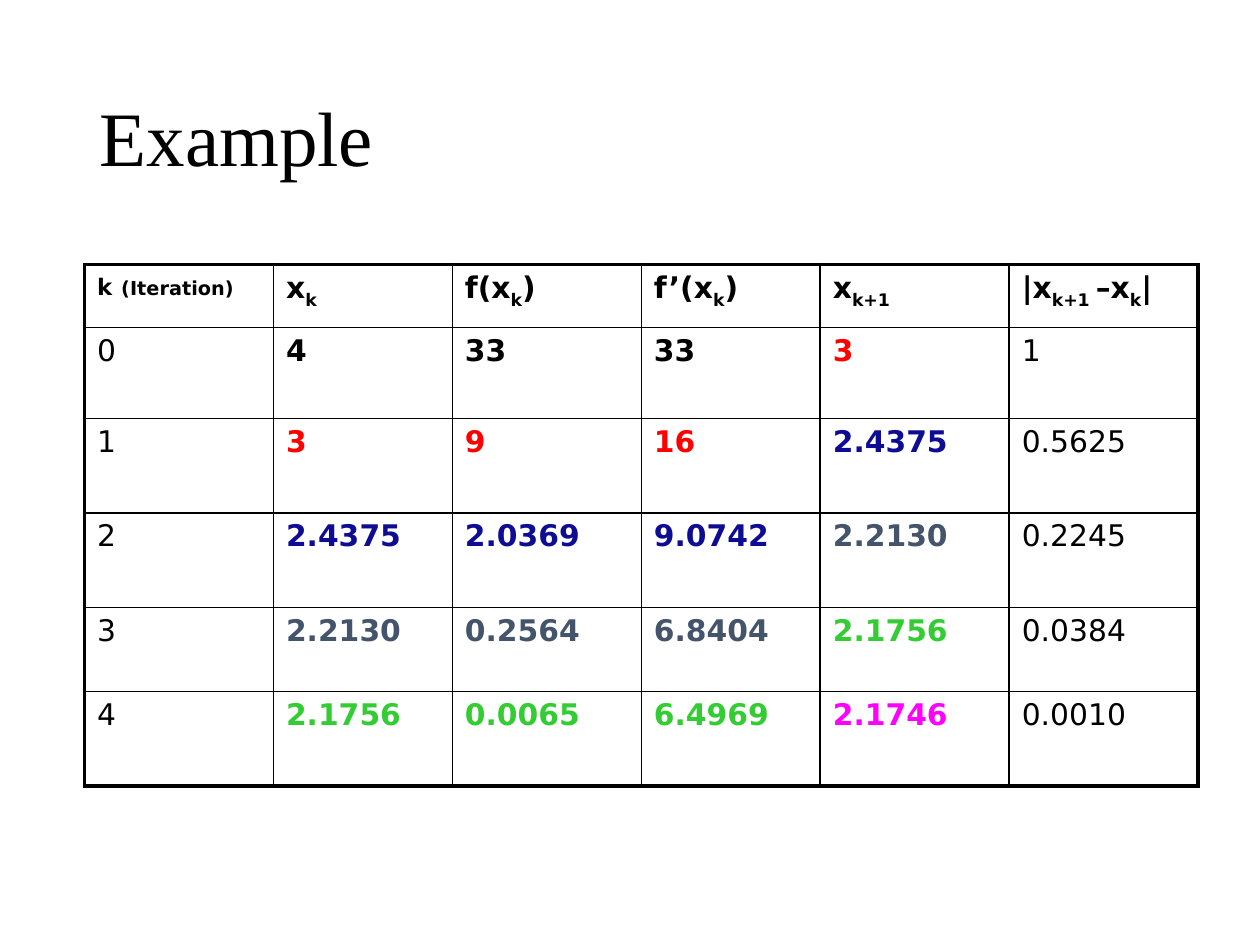
from lxml.etree import SubElement as Sub
from pptx import Presentation as Deck
from pptx.dml.color import RGBColor as Color
from pptx.enum.text import MSO_ANCHOR as Anchor, PP_ALIGN as Align
from pptx.oxml import parse_xml as to_xml
from pptx.oxml.ns import nsdecls, qn
from pptx.util import Inches as In, Pt

BLACK = Color(0, 0, 0)
RED = Color(0xFF, 0, 0)
NAVY = Color(0x0E, 0x0C, 0x93)
SLATE = Color(0x44, 0x54, 0x6A)
GREEN = Color(0x33, 0xCC, 0x33)
PINK = Color(0xFF, 0, 0xFF)
STEPS = [BLACK, RED, NAVY, SLATE, GREEN, PINK]

SERIF = "Times New Roman"
SANS = "DejaVu Sans"
SIZE = 17
THIN, THICK = 1, 2.25
COLS = [1.5, 1.42, 1.5, 1.42, 1.5, 1.5]
ROWS = [0.5, 0.72, 0.75, 0.75, 0.67, 0.75]

HEAD = [
    [("k", 13, 0), (" ", 15, 0), ("(Iteration)", 11, 0)],
    [("x", SIZE, 0), ("k", SIZE, 1)],
    [("f(x", SIZE, 0), ("k", SIZE, 1), (")", SIZE, 0)],
    [("f’(x", SIZE, 0), ("k", SIZE, 1), (")", SIZE, 0)],
    [("x", SIZE, 0), ("k+1", SIZE, 1)],
    [("|x", SIZE, 0), ("k+1 ", SIZE, 1), ("–x", SIZE, 0),
     ("k", SIZE, 1), ("|", SIZE, 0)],
]
DATA = [
    ["0", "4", "33", "33", "3", "1"],
    ["1", "3", "9", "16", "2.4375", "0.5625"],
    ["2", "2.4375", "2.0369", "9.0742", "2.2130", "0.2245"],
    ["3", "2.2130", "0.2564", "6.8404", "2.1756", "0.0384"],
    ["4", "2.1756", "0.0065", "6.4969", "2.1746", "0.0010"],
]


def add_run(para, text, size, font, color, bold=False, sub=False):
    run = para.add_run()
    run.text = text
    run.font.name = font
    run.font.size = Pt(size)
    run.font.bold = bold
    run.font.color.rgb = color
    if sub:
        run.font._element.set("baseline", "-25000")


def add_edges(cell, widths):
    props = cell._tc.get_or_add_tcPr()
    for spot, (side, width) in enumerate(zip("LRTB", widths)):
        line = to_xml(f'<a:ln{side} {nsdecls("a")} w="{Pt(width)}"/>')
        fill = Sub(line, qn("a:solidFill"))
        Sub(fill, qn("a:srgbClr")).set("val", str(BLACK))
        props.insert(spot, line)


def add_title(slide, text, left, top, width, height):
    title = slide.shapes.title
    title.left, title.top = In(left), In(top)
    title.width, title.height = In(width), In(height)
    title.text_frame.vertical_anchor = Anchor.MIDDLE
    para = title.text_frame.paragraphs[0]
    para.alignment = Align.LEFT
    para.line_spacing = 0.9
    add_run(para, text, 44, SERIF, BLACK)


def fill_cell(cell, row, col):
    para = cell.text_frame.paragraphs[0]
    if row == 0:
        for text, size, sub in HEAD[col]:
            add_run(para, text, size, SANS, BLACK, True, sub)
        return
    inner = 0 < col < len(COLS) - 1
    step = row if col == 4 else row - 1
    color = STEPS[step] if inner else BLACK
    add_run(para, DATA[row - 1][col], SIZE, SANS, color, inner)


def add_grid(slide, left, top):
    frame = slide.shapes.add_table(len(ROWS), len(COLS), In(left), In(top),
                                   In(sum(COLS)), In(sum(ROWS)))
    table = frame.table
    table.first_row = table.horz_banding = False
    for col, width in zip(table.columns, COLS):
        col.width = In(width)
    for row, height in zip(table.rows, ROWS):
        row.height = In(height)
    for r in range(len(ROWS)):
        for c in range(len(COLS)):
            cell = table.cell(r, c)
            cell.fill.background()
            outer = (c == 0, c == len(COLS) - 1, r == 0, r == len(ROWS) - 1)
            add_edges(cell, [THICK if edge else THIN for edge in outer])
            fill_cell(cell, r, c)


deck = Deck()
deck.slide_width, deck.slide_height = In(10), In(7.5)
page = deck.slides.add_slide(deck.slide_layouts[5])
add_title(page, "Example", 0.69, 0.4, 8.62, 1.45)
add_grid(page, 0.67, 2.1)
deck.save("out.pptx")
